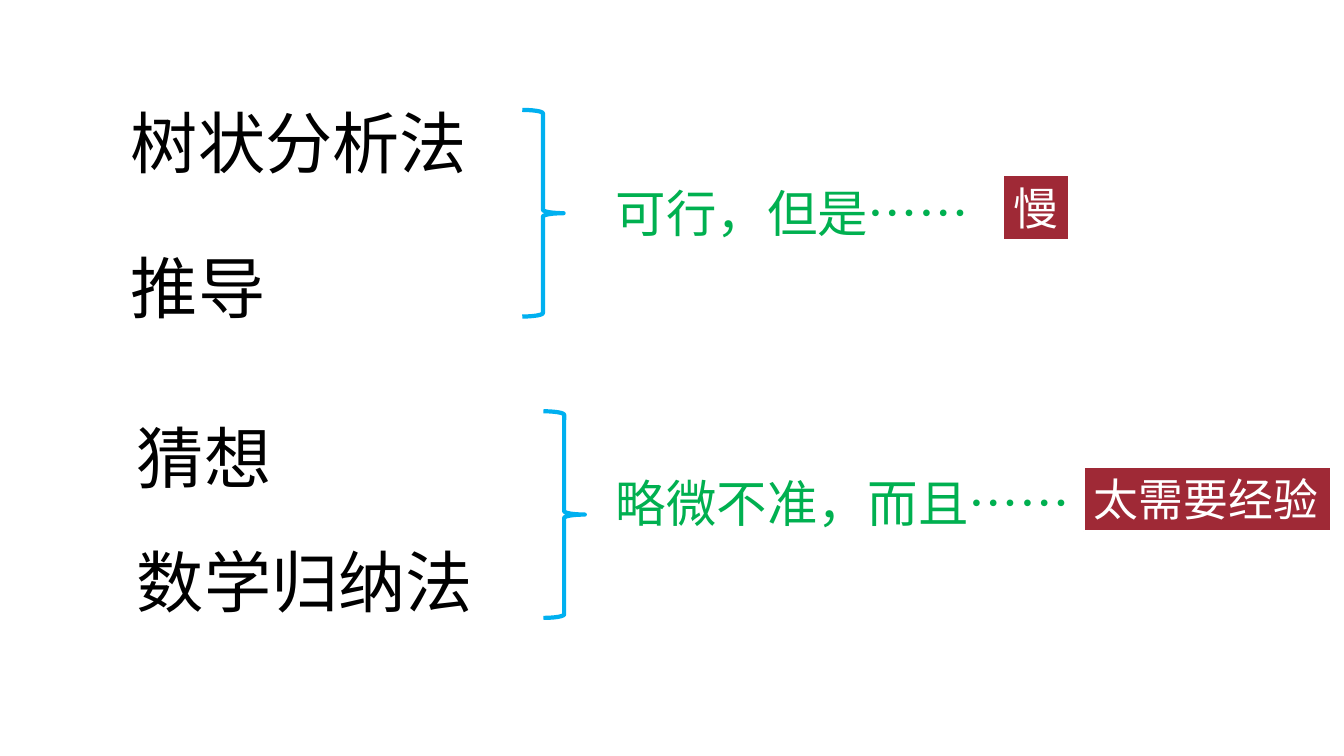
from dataclasses import dataclass

from pptx import Presentation
from pptx import util as u
from pptx.dml.color import RGBColor
from pptx.enum import lang, shapes, text

COLORS = {
    "method": "000000",
    "verdict": "00B050",
    "brace": "00B0F0",
    "tag": "9F2936",
    "white": "FFFFFF",
}
FONT = "Arial"
BRACE_WIDTH, BRACE_HEIGHT = 0.41, 2.05
METHOD_HEIGHT, VERDICT_HEIGHT, TAG_HEIGHT = 0.91, 0.71, 0.64
VERDICT_LEFT = 6.01


@dataclass(frozen=True)
class Label:
    words: str
    left: float
    top: float
    width: float


@dataclass(frozen=True)
class Group:
    methods: tuple[Label, Label]
    brace_left: float
    brace_top: float
    verdict: Label
    tag: Label


GROUPS = (
    Group(
        methods=(Label("树状分析法", 1.2, 0.96, 3.57), Label("推导", 1.2, 2.39, 1.55)),
        brace_left=5.18,
        brace_top=1.09,
        verdict=Label("可行，但是……", VERDICT_LEFT, 1.76, 3.74),
        tag=Label("慢", 9.95, 1.74, 0.65),
    ),
    Group(
        methods=(Label("猜想", 1.26, 4.08, 1.55), Label("数学归纳法", 1.26, 5.31, 3.57)),
        brace_left=5.39,
        brace_top=4.08,
        verdict=Label("略微不准，而且……", VERDICT_LEFT, 4.63, 4.75),
        tag=Label("太需要经验", 10.75, 4.63, 2.45),
    ),
)


def color(name: str) -> RGBColor:
    return RGBColor.from_string(COLORS[name])


def bounds(label: Label, height: float) -> tuple[u.Length, ...]:
    return tuple(u.Inches(n) for n in (label.left, label.top, label.width, height))


def write(box, words: str, size: int, color_name: str) -> None:
    frame = box.text_frame
    frame.text = words
    frame.word_wrap = False
    frame.auto_size = text.MSO_AUTO_SIZE.SHAPE_TO_FIT_TEXT
    frame.vertical_anchor = text.MSO_ANCHOR.TOP
    para = frame.paragraphs[0]
    para.alignment = text.PP_ALIGN.LEFT
    for span in para.runs:
        span.font.name = FONT
        span.font.size = u.Pt(size)
        span.font.color.rgb = color(color_name)
        span.font.language_id = lang.MSO_LANGUAGE_ID.SIMPLIFIED_CHINESE


def add_label(page, label: Label, height: float, size: int, color_name: str) -> None:
    box = page.shapes.add_textbox(*bounds(label, height))
    write(box, label.words, size, color_name)


def add_brace(page, left: float, top: float) -> None:
    brace = page.shapes.add_shape(
        shapes.MSO_SHAPE.RIGHT_BRACE,
        u.Inches(left), u.Inches(top), u.Inches(BRACE_WIDTH), u.Inches(BRACE_HEIGHT),
    )
    brace.shadow.inherit = False
    brace.fill.background()
    brace.line.color.rgb = color("brace")
    brace.line.width = u.Pt(3)


def add_tag(page, label: Label) -> None:
    tag = page.shapes.add_shape(shapes.MSO_SHAPE.RECTANGLE, *bounds(label, TAG_HEIGHT))
    tag.shadow.inherit = False
    tag.fill.solid()
    tag.fill.fore_color.rgb = color("tag")
    tag.line.color.rgb = color("white")
    tag.line.width = u.Pt(1.5)
    write(tag, label.words, 32, "white")


def add_group(page, group: Group) -> None:
    for method in group.methods:
        add_label(page, method, METHOD_HEIGHT, 48, "method")
    add_brace(page, group.brace_left, group.brace_top)
    add_label(page, group.verdict, VERDICT_HEIGHT, 36, "verdict")
    add_tag(page, group.tag)


def main() -> None:
    deck = Presentation()
    deck.slide_width, deck.slide_height = u.Inches(13.33), u.Inches(7.5)
    page = deck.slides.add_slide(deck.slide_layouts.get_by_name("Blank"))
    page.background.fill.solid()
    page.background.fill.fore_color.rgb = color("white")
    for group in GROUPS:
        add_group(page, group)
    deck.save("out.pptx")


if __name__ == "__main__":
    main()
